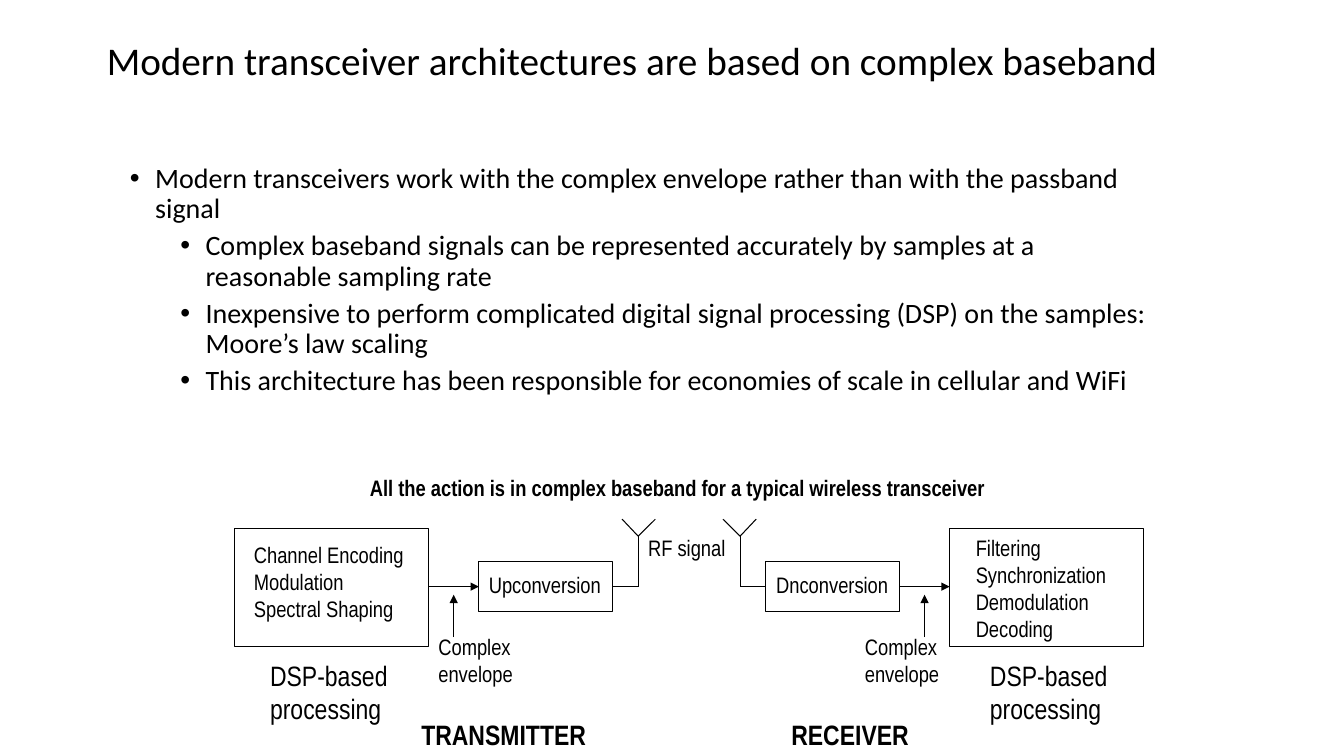
from lxml import etree
from pptx import Presentation
from pptx.dml.color import RGBColor
from pptx.enum import shapes, text
from pptx.oxml import ns
from pptx.util import Inches, Pt

BLACK = RGBColor(0x00, 0x00, 0x00)
WHITE = RGBColor(0xFF, 0xFF, 0xFF)
BODY_FACE, DIAGRAM_FACE = "Calibri", "Arial Narrow"
MIRROR_SUM = 13.67  # transmitter x + receiver x
SIGNAL_Y = 5.82


def apply(target, values):
    """Set each named attribute on target."""
    for name, value in values.items():
        setattr(target, name, value)


class DiagramSlide:
    def __init__(self, deck):
        self.line_width = Pt(0.75)
        self.slide = deck.slides.add_slide(deck.slide_layouts[5])
        self.slide.background.fill.solid()
        self.slide.background.fill.fore_color.rgb = WHITE

    def add_words(self, paragraph, words, face, size, bold=False):
        run = paragraph.add_run()
        run.text = words
        apply(run.font, {"name": face, "size": Pt(size), "bold": bold})
        run.font.color.rgb = BLACK

    def title(self, words, left, top, width, height):
        heading = self.slide.shapes.title
        apply(heading, {"left": Inches(left), "top": Inches(top),
                        "width": Inches(width), "height": Inches(height)})
        apply(heading.text_frame, {"auto_size": text.MSO_AUTO_SIZE.NONE,
                                   "vertical_anchor": text.MSO_ANCHOR.MIDDLE})
        paragraph = heading.text_frame.paragraphs[0]
        apply(paragraph, {"alignment": text.PP_ALIGN.LEFT, "line_spacing": 0.9})
        self.add_words(paragraph, words, BODY_FACE, 28)

    def text_lines(self, count, left, top, width, height, **frame_format):
        """Add a text box and return its paragraphs."""
        frame = self.slide.shapes.add_textbox(
            Inches(left), Inches(top), Inches(width), Inches(height)).text_frame
        apply(frame, frame_format)
        for _ in range(count - 1):
            frame.add_paragraph()
        return frame.paragraphs

    def bullets(self, items, left, top, width, height):
        paragraphs = self.text_lines(len(items), left, top, width, height, word_wrap=True)
        for paragraph, (level, words) in zip(paragraphs, items):
            apply(paragraph, {"level": level, "line_spacing": 0.9,
                              "space_before": Pt(5 if level else 10)})
            properties = paragraph._p.get_or_add_pPr()
            properties.set("marL", str(Inches(0.25 + 0.5 * level)))
            properties.set("indent", str(Inches(-0.25)))
            etree.SubElement(properties, ns.qn("a:buFont")).set("typeface", "Arial")
            etree.SubElement(properties, ns.qn("a:buChar")).set("char", "•")
            self.add_words(paragraph, words, BODY_FACE, 20)

    def label(self, lines, left, top, width, height, size=16, bold=False):
        paragraphs = self.text_lines(len(lines), left, top, width, height, word_wrap=False,
                                     auto_size=text.MSO_AUTO_SIZE.SHAPE_TO_FIT_TEXT)
        for paragraph, words in zip(paragraphs, lines):
            self.add_words(paragraph, words, DIAGRAM_FACE, size, bold)

    def block(self, left, top, width, height):
        outline = self.slide.shapes.add_shape(
            shapes.MSO_SHAPE.RECTANGLE,
            Inches(left), Inches(top), Inches(width), Inches(height))
        outline.shadow.inherit = False
        outline.fill.background()
        outline.line.color.rgb = BLACK
        outline.line.width = self.line_width

    def wire(self, start, end, arrow=False):
        connector = self.slide.shapes.add_connector(
            shapes.MSO_CONNECTOR.STRAIGHT, *map(Inches, start + end))
        connector.line.color.rgb = BLACK
        connector.line.width = self.line_width
        if arrow:
            tip = etree.SubElement(connector.line._get_or_add_ln(), ns.qn("a:tailEnd"))
            tip.set("type", "triangle")
        etree.SubElement(connector._element.spPr, ns.qn("a:effectLst"))

    def radio_chain(self, receiving):
        """Draw the blocks, wires and antenna of one side, mirrored for the receiver."""
        def x(value):
            return MIRROR_SUM - value if receiving else value

        for near, far, top, height in ((2.33, 4.25, 5.24, 1.17), (4.75, 6.08, 5.57, 0.5)):
            self.block(min(x(near), x(far)), top, far - near, height)
        baseband = [(x(4.25), SIGNAL_Y), (x(4.75), SIGNAL_Y)]
        self.wire(*(reversed(baseband) if receiving else baseband), arrow=True)
        self.wire((x(4.5), 6.32), (x(4.5), 5.9), arrow=True)
        mast_foot, mast_top = (x(6.33), SIGNAL_Y), (x(6.33), 5.32)
        self.wire((x(6.08), SIGNAL_Y), mast_foot)
        self.wire(mast_foot, mast_top)
        for arm in (6.17, 6.5):
            self.wire(mast_top, (x(arm), 5.15))


def main():
    deck = Presentation()
    apply(deck, {"slide_width": Inches(13.33), "slide_height": Inches(7.5)})
    page = DiagramSlide(deck)
    page.title("Modern transceiver architectures are based on complex baseband",
               0.96, 0, 10.78, 1.25)
    page.bullets([
        (0, "Modern transceivers work with the complex envelope rather than with "
            "the passband signal"),
        (1, "Complex baseband signals can be represented accurately by samples at a "
            "reasonable sampling rate"),
        (1, "Inexpensive to perform complicated digital signal processing (DSP) on "
            "the samples: Moore’s law scaling"),
        (1, "This architecture has been responsible for economies of scale in "
            "cellular and WiFi"),
    ], 1.19, 1.58, 10.32, 4)

    for receiving in (False, True):
        page.radio_chain(receiving)
    for dsp_left, envelope_left in ((2.58, 4.25), (9.72, 8.48)):
        page.label(["DSP-based", "processing"], dsp_left, 6.48, 1.38, 0.77, size=20)
        page.label(["Complex", "envelope"], envelope_left, 6.23, 0.94, 0.64)

    page.label(["Channel Encoding", "Modulation", "Spectral Shaping"], 2.42, 5.32, 1.69, 1.17)
    page.label(["Filtering", "Synchronization", "Demodulation", "Decoding"],
               9.58, 5.25, 1.5, 1.44)
    page.label(["Upconversion"], 4.75, 5.62, 1.32, 0.37)
    page.label(["Dnconversion"], 7.6, 5.62, 1.32, 0.37)
    page.label(["RF signal"], 6.33, 5.25, 0.97, 0.37)
    page.label(["TRANSMITTER"], 4.08, 7.07, 1.85, 0.44, size=20, bold=True)
    page.label(["RECEIVER"], 7.75, 7.07, 1.38, 0.44, size=20, bold=True)
    page.label(["All the action is in complex baseband for a typical wireless transceiver"],
               3.57, 4.65, 6.32, 0.37, bold=True)
    deck.save("out.pptx")


if __name__ == "__main__":
    main()
